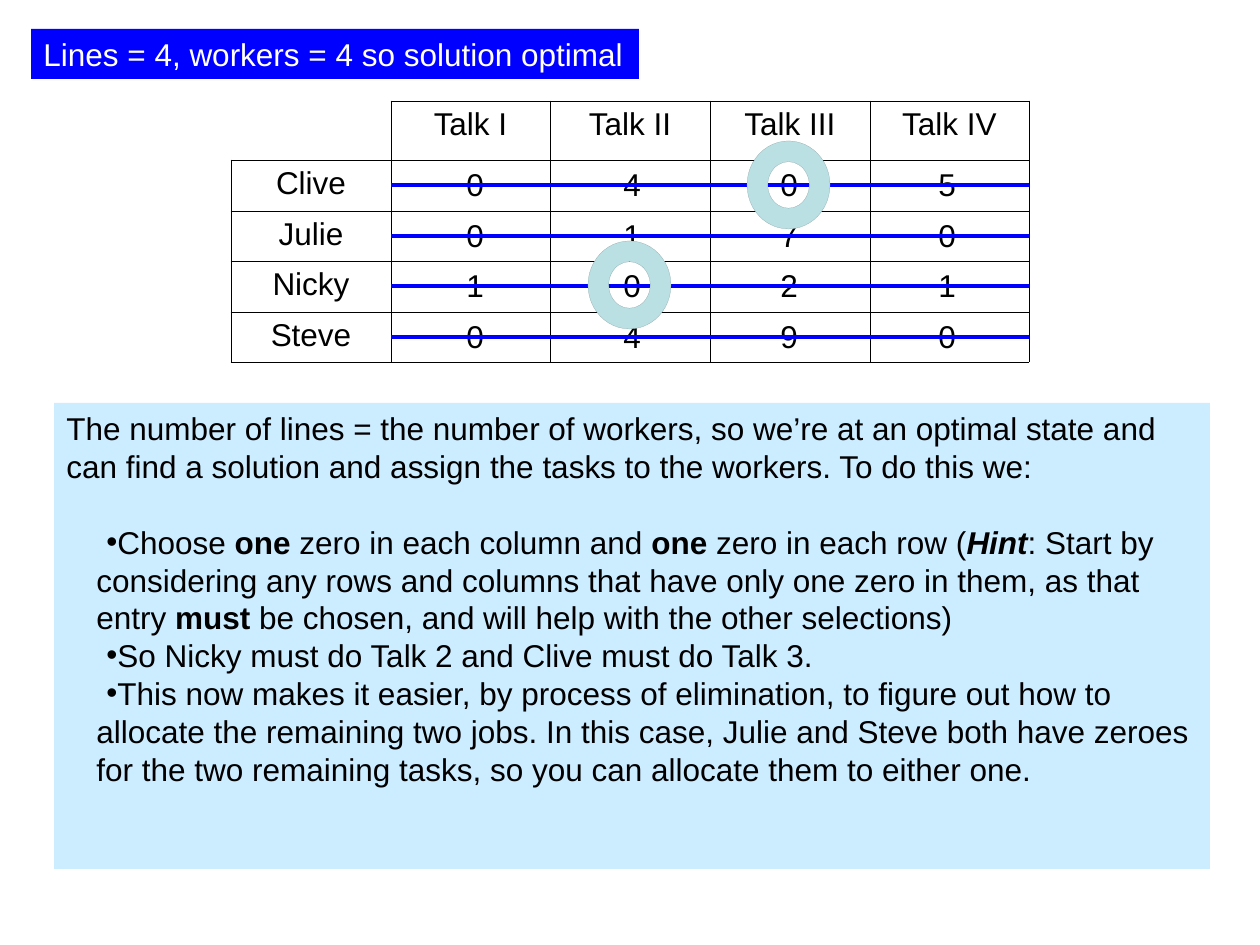
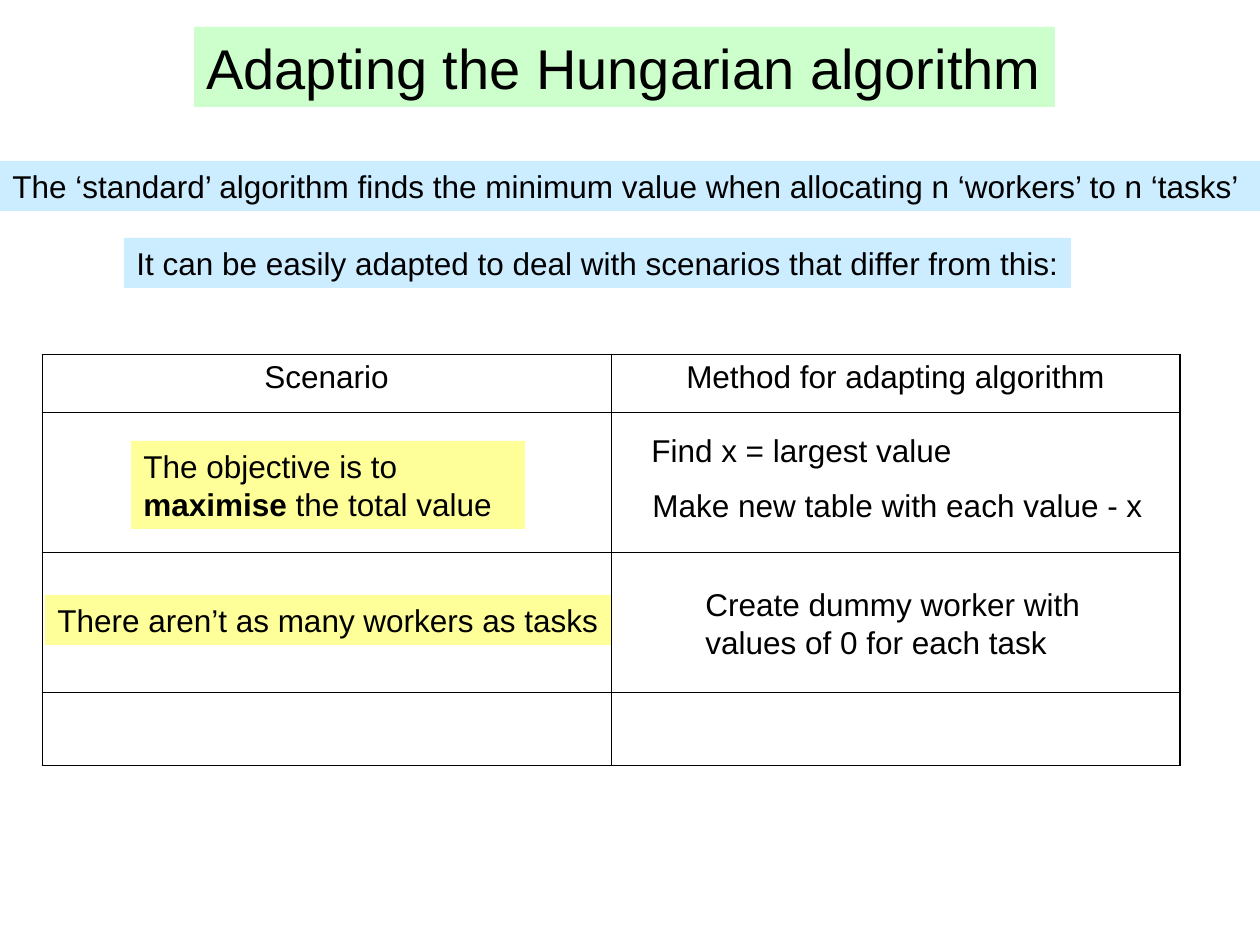
from dataclasses import dataclass
from itertools import accumulate
from typing import NamedTuple

from lxml.etree import SubElement
from pptx import Presentation
from pptx.dml.color import RGBColor
from pptx.enum.shapes import MSO_CONNECTOR as Wire, MSO_SHAPE as Form
from pptx.enum.text import MSO_ANCHOR as Anchor, PP_ALIGN as Align
from pptx.oxml.ns import qn
from pptx.util import Emu, Pt

DPI = 126
BLACK, WHITE, BLUE = "000000", "FFFFFF", "0000FF"
SKY, MINT, CREAM = "CCECFF", "CCFFCC", "FFFF99"
TEAL, SLATE = "BBE0E3", "89A4A7"
FONT = "Arial"
THIN, THICK = 0.45, 1.08
LINE_GAP = 21.7


class Run(NamedTuple):
    text: str
    bold: bool = False
    slant: bool = False


class Para(NamedTuple):
    runs: tuple[Run, ...]
    dot: bool = False
    gap: float = 0


@dataclass
class Note:
    left: int
    top: int
    width: int
    height: int
    paras: tuple[Para, ...]
    fill: str | None = None
    ink: str = BLACK
    size: int = 18
    wrap: bool = False


@dataclass
class Grid:
    left: int
    top: int
    cols: tuple[int, ...]
    rows: tuple[int, ...]
    cells: dict[tuple[int, int], str]
    right: float = THIN  # width of the right border
    bare: bool = False  # leaves the top left corner without outer borders


def px(num: float) -> Emu:
    return Emu(round(num * 914400 / DPI))


def hue(code: str) -> RGBColor:
    return RGBColor.from_string(code)


def plain(text: str) -> tuple[Para, ...]:
    return (Para((Run(text),)),)


def style(para, size: int = 18, ink: str = BLACK) -> None:
    para.font.name, para.font.size = FONT, Pt(size)
    para.font.color.rgb = hue(ink)


def add_dot(para) -> None:
    """Give the paragraph a bullet with its indents."""
    props = para._p.get_or_add_pPr()
    props.set("marL", str(px(30)))
    props.set("indent", str(px(10)))
    tint = SubElement(props, qn("a:buClr"))
    SubElement(tint, qn("a:srgbClr"), val=BLACK)
    SubElement(props, qn("a:buFont"), typeface=FONT)
    SubElement(props, qn("a:buChar"), char="•")


def draw_note(slide, note: Note) -> None:
    area = [px(n) for n in (note.left, note.top, note.width, note.height)]
    if note.fill:
        box = slide.shapes.add_shape(Form.RECTANGLE, *area)
        box.shadow.inherit = False
        box.fill.solid()
        box.fill.fore_color.rgb = hue(note.fill)
        box.line.fill.background()
    else:
        box = slide.shapes.add_textbox(*area)
    frame = box.text_frame
    frame.word_wrap = note.wrap
    frame.vertical_anchor = Anchor.TOP
    for spot, item in enumerate(note.paras):
        para = frame.add_paragraph() if spot else frame.paragraphs[0]
        para.alignment = Align.LEFT
        if item.gap:
            para.space_before = Pt(item.gap)
        if item.dot:
            add_dot(para)
        style(para, note.size, note.ink)
        for part in item.runs:
            run = para.add_run()
            run.text = part.text
            if part.bold:
                run.font.bold = True
            if part.slant:
                run.font.italic = True


def set_edges(cell, edges: dict[str, float]) -> None:
    """Draw each side of the cell; a width of 0 hides it."""
    props = cell._tc.get_or_add_tcPr()
    for spot, (side, width) in enumerate(edges.items()):
        line = SubElement(props, qn(f"a:ln{side}"), w=str(Pt(width)))
        props.insert(spot, line)
        if width:
            fill = SubElement(line, qn("a:solidFill"))
            SubElement(fill, qn("a:srgbClr"), val=BLACK)
        else:
            SubElement(line, qn("a:noFill"))


def draw_grid(slide, grid: Grid) -> None:
    rows, cols = len(grid.rows), len(grid.cols)
    table = slide.shapes.add_table(
        rows, cols, px(grid.left), px(grid.top),
        px(sum(grid.cols)), px(sum(grid.rows))).table
    table.first_row = table.horz_banding = False
    for col, width in zip(table.columns, grid.cols):
        col.width = px(width)
    for row, height in zip(table.rows, grid.rows):
        row.height = px(height)
    for r in range(rows):
        for c in range(cols):
            cell = table.cell(r, c)
            cell.fill.background()
            outer = 0 if grid.bare and r == c == 0 else THIN
            set_edges(cell, {
                "L": outer,
                "R": THIN if c < cols - 1 else grid.right,
                "T": outer,
                "B": THIN,
            })
            para = cell.text_frame.paragraphs[0]
            para.alignment = Align.CENTER
            style(para)
            if (r, c) in grid.cells:
                para.add_run().text = grid.cells[r, c]


def draw_strike(slide, left: int, right: int, mid: float) -> None:
    line = slide.shapes.add_connector(
        Wire.STRAIGHT, px(left), px(mid), px(right), px(mid))
    line.line.color.rgb = hue(BLUE)
    line.line.width = Pt(2)
    SubElement(line._element.spPr, qn("a:effectLst"))


def draw_ring(slide, left: int, mid: float) -> None:
    wide, high = 83, 88
    ring = slide.shapes.add_shape(
        Form.DONUT, px(left), px(mid - high / 2), px(wide), px(high))
    ring.adjustments[0] = 0.25
    ring.shadow.inherit = False
    ring.fill.solid()
    ring.fill.fore_color.rgb = hue(TEAL)
    ring.line.color.rgb = hue(SLATE)
    ring.line.width = Pt(0.1)


TALKS = ("Talk I", "Talk II", "Talk III", "Talk IV")
COSTS = {"Clive": "0405", "Julie": "0170", "Nicky": "1021", "Steve": "0490"}
STEPS = (
    Para((Run("The number of lines = the number of workers, so we’re at an "
              "optimal state and can find a solution and assign the tasks to "
              "the workers. To do this we:"),)),
    Para((Run("Choose "), Run("one", True),
          Run(" zero in each column and "), Run("one", True),
          Run(" zero in each row ("), Run("Hint", True, True),
          Run(": Start by considering any rows and columns that have only one "
              "zero in them, as that entry "), Run("must", True),
          Run(" be chosen, and will help with the other selections)")),
         dot=True, gap=LINE_GAP),
    Para((Run("So Nicky must do Talk 2 and Clive must do Talk 3."),), dot=True),
    Para((Run("This now makes it easier, by process of elimination, to figure "
              "out how to allocate the remaining two jobs. In this case, Julie "
              "and Steve both have zeroes for the two remaining tasks, so you "
              "can allocate them to either one."),), dot=True),
)


def build_costs(slide) -> None:
    heads = {(0, c): talk for c, talk in enumerate(TALKS, 1)}
    names = {(r, 0): name for r, name in enumerate(COSTS, 1)}
    grid = Grid(231, 101, (160, 159, 160, 160, 159), (59, 51, 50, 51, 50),
                heads | names, bare=True)
    draw_grid(slide, grid)
    tops = [grid.top + n for n in accumulate(grid.rows)]
    mids = [top + 25 for top in tops[:-1]]
    for top, costs in zip(tops, COSTS.values()):
        for c, cost in enumerate(costs):
            draw_note(slide, Note(454 + c * 472 // 3, top - 1, 43, 50,
                                  plain(cost)))
    left, right = grid.left + grid.cols[0], grid.left + sum(grid.cols)
    for mid in mids:
        draw_strike(slide, left, right, mid)
    draw_note(slide, Note(31, 29, 608, 50,
                          plain("Lines = 4, workers = 4 so solution optimal"),
                          BLUE, WHITE, wrap=True))
    draw_note(slide, Note(54, 403, 1156, 466, STEPS, SKY, wrap=True))
    draw_ring(slide, 588, mids[2] - 1)
    draw_ring(slide, 747, mids[0])


GOAL = (Para((Run("The objective is to "), Run("maximise", True),
              Run(" the total value"))),)
TITLES = (
    Note(194, 27, 861, 80, plain("Adapting the Hungarian algorithm"), MINT,
         size=32),
    Note(0, 161, 1271, 50,
         plain("The ‘standard’ algorithm finds the minimum value when "
               "allocating n ‘workers’ to n ‘tasks’"), SKY),
    Note(124, 238, 947, 50,
         plain("It can be easily adapted to deal with scenarios that differ "
               "from this:"), SKY),
)
CASES = (
    Note(131, 441, 394, 88, GOAL, CREAM, wrap=True),
    Note(45, 595, 566, 50, plain("There aren’t as many workers as tasks"),
         CREAM),
    Note(639, 425, 340, 50, plain("Find x = largest value"), wrap=True),
    Note(640, 480, 530, 50, plain("Make new table with each value - x"),
         wrap=True),
    Note(693, 579, 408, 88,
         plain("Create dummy worker with values of 0 for each task"),
         wrap=True),
)


def build_cases(slide) -> None:
    for note in TITLES:
        draw_note(slide, note)
    heads = {(0, 0): "Scenario", (0, 1): "Method for adapting algorithm"}
    draw_grid(slide, Grid(42, 354, (569, 569), (58, 140, 140, 73), heads,
                          right=THICK))
    for note in CASES:
        draw_note(slide, note)


def main() -> None:
    deck = Presentation()
    deck.slide_width, deck.slide_height = px(1260), px(945)
    for build in (build_costs, build_cases):
        build(deck.slides.add_slide(deck.slide_layouts[6]))
    deck.save("out.pptx")


if __name__ == "__main__":
    main()
